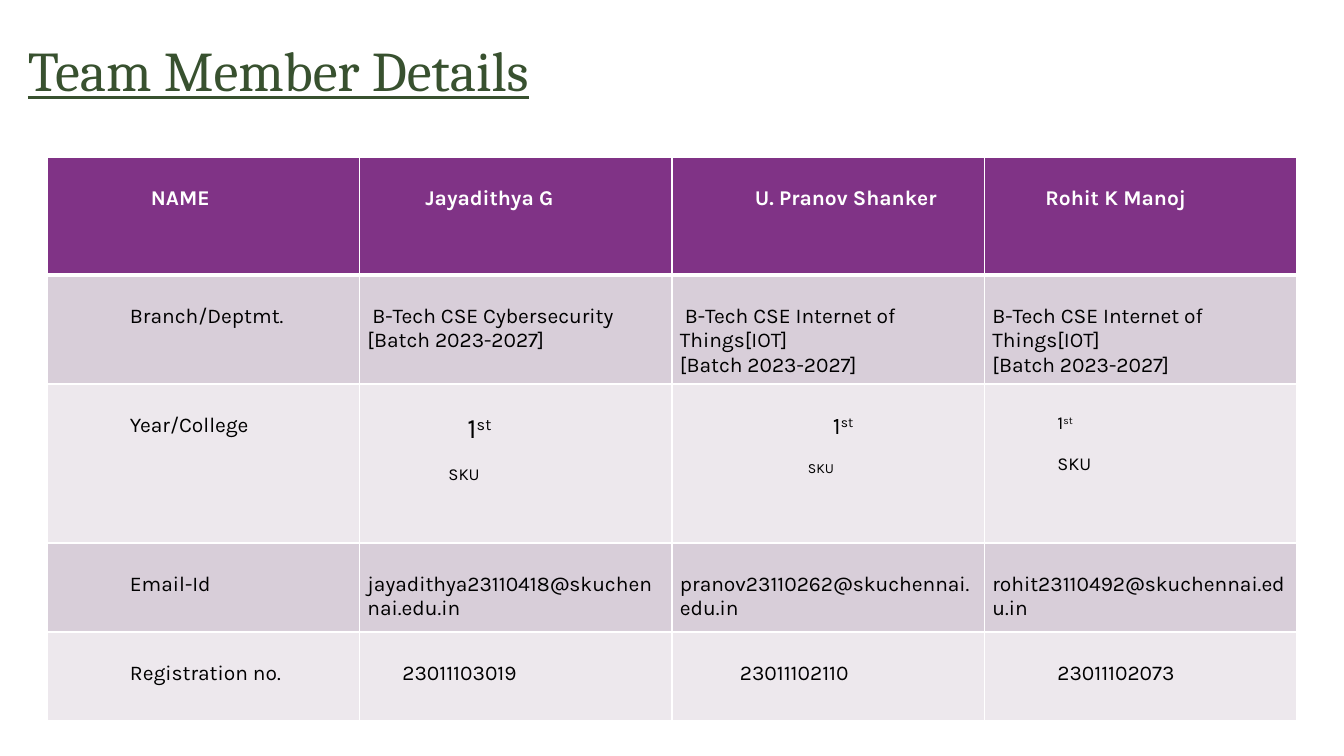
import dataclasses

import lxml.etree
import pptx
import pptx.dml.color
import pptx.oxml.ns
import pptx.util

PX = 914400 / 100.8
HEADER_FILL = "803386"
BAND_FILLS = ("D8CED9", "EDE8ED")
ROW_HEIGHTS = (118, 109, 159, 89, 89)


@dataclasses.dataclass
class Line:
    """One paragraph of a cell, with an optional raised ending."""
    text: str
    indent: int = 0
    size: int = 15
    raised: str = ""
    before: int = 0


TABLE_ROWS = (
    ([Line("NAME", 96)], [Line("Jayadithya G", 58)],
     [Line("U. Pranov Shanker", 75)], [Line("Rohit K Manoj", 53)]),
    ([Line("Branch/Deptmt.", 75)],
     [Line(" B-Tech CSE Cybersecurity"), Line("[Batch 2023-2027]")],
     [Line(" B-Tech CSE Internet of Things[IOT]"), Line("[Batch 2023-2027]")],
     [Line("B-Tech CSE Internet of Things[IOT]"), Line("[Batch 2023-2027]")]),
    ([Line("Year/College", 75)],
     [Line("1", 100, 20, "st"), Line("SKU", 81, 12, before=14)],
     [Line("1", 153, 17, "st"), Line("SKU", 128, 10, before=14)],
     [Line("1", 65, 13, "st"), Line("SKU", 65, 13, before=14)]),
    ([Line("Email-Id", 75)], [Line("jayadithya23110418@skuchennai.edu.in")],
     [Line("pranov23110262@skuchennai.edu.in")],
     [Line("rohit23110492@skuchennai.edu.in")]),
    ([Line("Registration no.", 75)], [Line("23011103019", 35)],
     [Line("23011102110", 60)], [Line("23011102073", 65)]),
)


def px(length):
    """Turn pixels into EMU."""
    return pptx.util.Emu(round(length * PX))


def color(value):
    """Turn a hex string into a colour."""
    return pptx.dml.color.RGBColor.from_string(value)


def add_span(para, text, ink, **formats):
    """Add a run with the given colour and font values."""
    span = para.add_run()
    span.text = text
    span.font.color.rgb = color(ink)
    for name, value in formats.items():
        setattr(span.font, name, value)
    return span


def add_title(page, text):
    """Add the underlined heading."""
    box = page.shapes.add_textbox(px(18), px(31), px(600), px(104))
    box.text_frame.word_wrap = True
    add_span(box.text_frame.paragraphs[0], text, "38512F", name="Cambria",
             size=pptx.util.Pt(40), underline=True)


def set_borders(cell, top, bottom):
    """Draw white cell borders with the given top and bottom widths."""
    properties = cell._tc.get_or_add_tcPr()
    qn = pptx.oxml.ns.qn
    widths = {"a:lnL": 1, "a:lnR": 1, "a:lnT": top, "a:lnB": bottom}
    for position, (tag, width) in enumerate(widths.items()):
        border = lxml.etree.Element(qn(tag), w=str(pptx.util.Pt(width)))
        fill = lxml.etree.SubElement(border, qn("a:solidFill"))
        lxml.etree.SubElement(fill, qn("a:srgbClr"), val="FFFFFF")
        properties.insert(position, border)


def fill_cell(cell, lines, background, ink, bold):
    """Set a cell's margins, background and lines of text."""
    margins = {"margin_left": 8, "margin_right": 8,
               "margin_top": 29, "margin_bottom": 4}
    for name, value in margins.items():
        setattr(cell, name, px(value))
    cell.fill.solid()
    cell.fill.fore_color.rgb = color(background)
    frame = cell.text_frame
    for index, line in enumerate(lines):
        para = frame.add_paragraph() if index else frame.paragraphs[0]
        para.space_before = pptx.util.Pt(line.before)
        para._p.get_or_add_pPr().set("marL", str(px(line.indent)))
        formats = {"name": "Karla", "size": pptx.util.Pt(line.size), "bold": bold}
        add_span(para, line.text, ink, **formats)
        if line.raised:
            span = add_span(para, line.raised, ink, **formats)
            span._r.get_or_add_rPr().set("baseline", "30000")


def add_member_table(page):
    """Add the table of team members with a header and banded rows."""
    table = page.shapes.add_table(len(TABLE_ROWS), len(TABLE_ROWS[0]), px(47), px(157),
                                  px(1250), px(sum(ROW_HEIGHTS))).table
    table.horz_banding = False
    for row, cells in enumerate(TABLE_ROWS):
        table.rows[row].height = px(ROW_HEIGHTS[row])
        header = row == 0
        background = HEADER_FILL if header else BAND_FILLS[(row - 1) % 2]
        for column, lines in enumerate(cells):
            cell = table.cell(row, column)
            fill_cell(cell, lines, background, "FFFFFF" if header else "000000", header)
            set_borders(cell, 3 if row == 1 else 1, 3 if header else 1)


def main():
    """Build the slide and save it."""
    deck = pptx.Presentation()
    deck.slide_width, deck.slide_height = px(1344), px(756)
    page = deck.slides.add_slide(deck.slide_layouts[6])
    add_title(page, "Team Member Details")
    add_member_table(page)
    deck.save("out.pptx")


if __name__ == "__main__":
    main()
